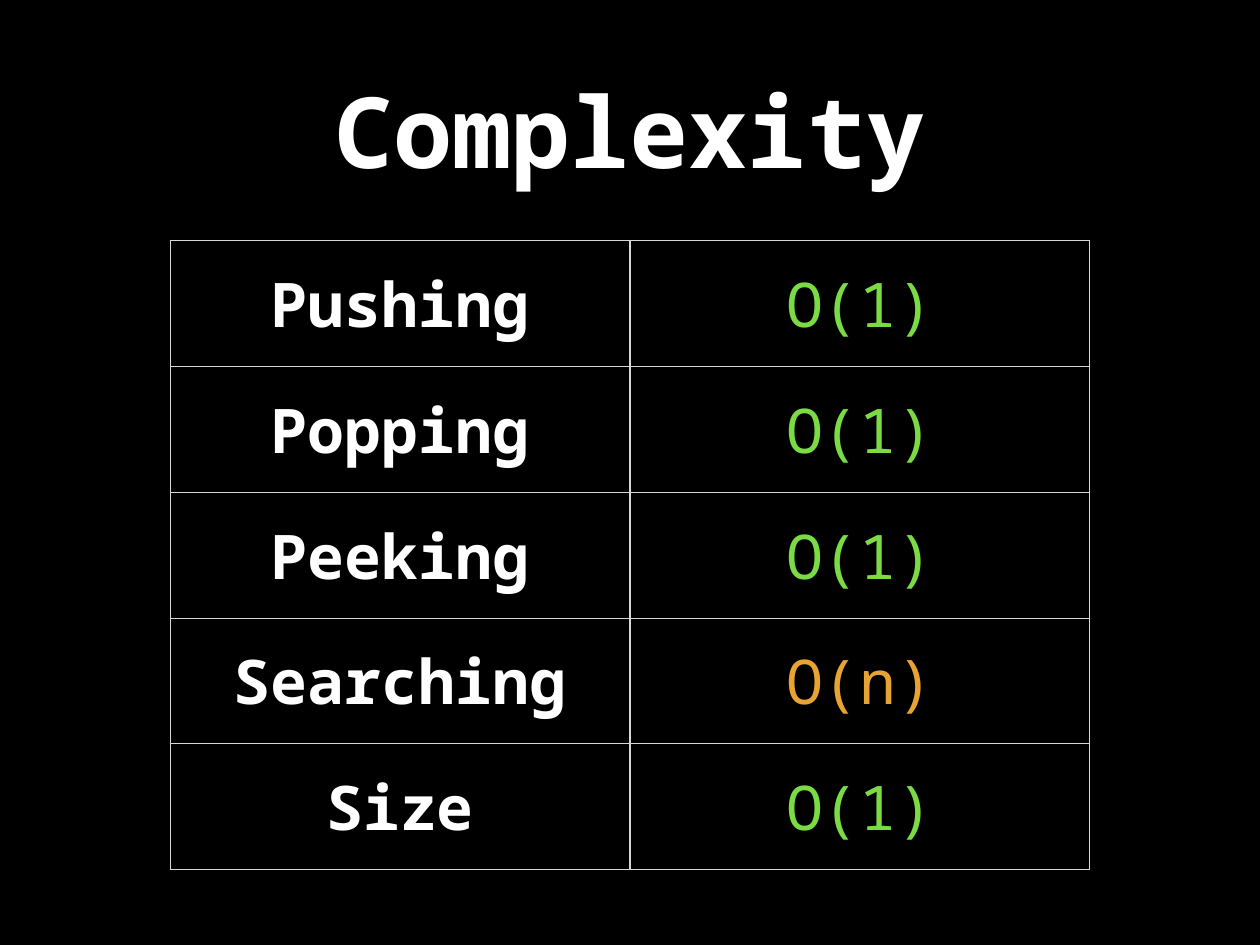
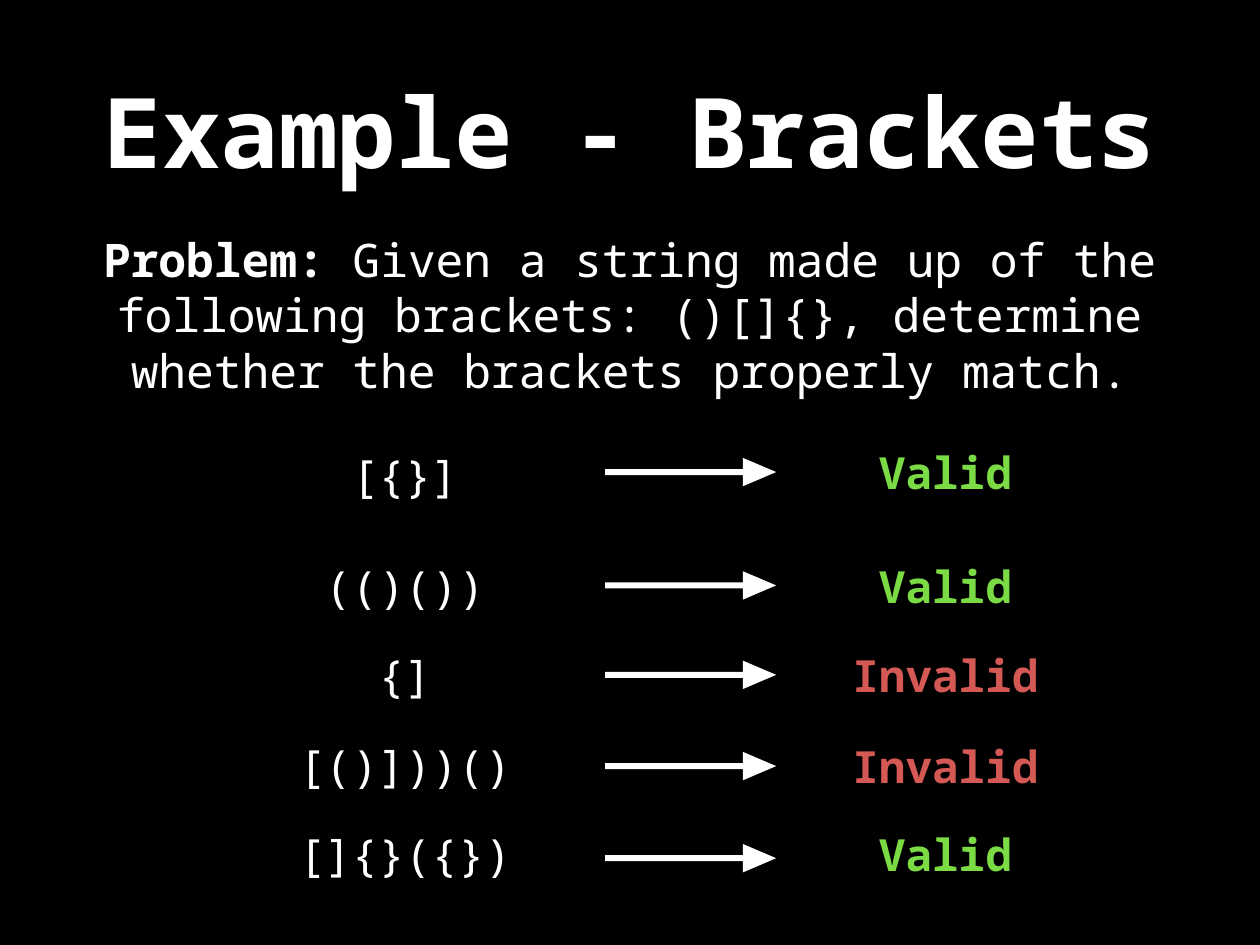
from pptx import Presentation
from pptx.dml.color import RGBColor
from pptx.enum import shapes, text
from pptx.oxml import parse_xml
from pptx.oxml.ns import nsdecls
from pptx.util import Inches, Pt

BLACK = RGBColor(0x00, 0x00, 0x00)
WHITE = RGBColor(0xFF, 0xFF, 0xFF)
GREEN = RGBColor(0x7B, 0xDB, 0x45)
ORANGE = RGBColor(0xE8, 0xA4, 0x32)
RED = RGBColor(0xD4, 0x58, 0x54)
GRID = RGBColor(0xD6, 0xD7, 0xD6)
FONT = "Noto Sans Mono"
INSET = Inches(0.06)
BODY_LEFT, BODY_WIDTH, BODY_HEIGHT = 1.04, 12.14, 2.36


def style(paragraph, size, colour, bold):
    paragraph.alignment = text.PP_ALIGN.CENTER
    paragraph.font.name = FONT
    paragraph.font.size = Pt(size)
    paragraph.font.color.rgb = colour
    paragraph.font.bold = bold


def add_text(slide, left, top, width, height, wording, size, colour=WHITE, bold=False, wrap=True):
    box = slide.shapes.add_textbox(Inches(left), Inches(top), Inches(width), Inches(height))
    frame = box.text_frame
    frame.word_wrap = wrap
    frame.auto_size = text.MSO_AUTO_SIZE.NONE if wrap else text.MSO_AUTO_SIZE.SHAPE_TO_FIT_TEXT
    frame.vertical_anchor = text.MSO_ANCHOR.MIDDLE
    frame.margin_left = frame.margin_right = frame.margin_top = frame.margin_bottom = INSET
    paragraph = frame.paragraphs[0]
    style(paragraph, size, colour, bold)
    paragraph.add_run().text = wording
    return paragraph


prs = Presentation()
prs.slide_width, prs.slide_height = Inches(14.22), Inches(10.67)
slides = []
for title, title_size in [("Complexity", 80), ("Example - Brackets", 79.2)]:
    slide = prs.slides.add_slide(prs.slide_layouts[6])
    slide.background.fill.solid()
    slide.background.fill.fore_color.rgb = BLACK
    add_text(slide, BODY_LEFT, 0.28, BODY_WIDTH, BODY_HEIGHT, title, title_size, bold=True)
    slides.append(slide)
complexity, brackets = slides

costs = [
    ("Pushing", "O(1)", GREEN),
    ("Popping", "O(1)", GREEN),
    ("Peeking", "O(1)", GREEN),
    ("Searching", "O(n)", ORANGE),
    ("Size", "O(1)", GREEN),
]
column_width, row_height = 5.19, 1.42
cost_table = complexity.shapes.add_table(
    len(costs), 2, Inches(1.92), Inches(2.72),
    Inches(2 * column_width), Inches(len(costs) * row_height)).table
cost_table.first_row = cost_table.horz_banding = False
for row, (operation, cost, cost_colour) in enumerate(costs):
    for column, (wording, colour, bold) in enumerate(
            [(operation, WHITE, True), (cost, cost_colour, False)]):
        cell = cost_table.cell(row, column)
        cell.text = wording
        style(cell.text_frame.paragraphs[0], 50, colour, bold)
        cell.vertical_anchor = text.MSO_ANCHOR.MIDDLE
        cell.margin_left = cell.margin_right = cell.margin_top = cell.margin_bottom = INSET
        properties = cell._tc.get_or_add_tcPr()
        for side in ("lnL", "lnR", "lnT", "lnB"):
            properties.append(parse_xml(
                f'<a:{side} {nsdecls("a")} w="{Pt(1)}"><a:solidFill>'
                f'<a:srgbClr val="{GRID}"/></a:solidFill></a:{side}>'))
        cell.fill.background()

problem = add_text(brackets, BODY_LEFT, 2.37, BODY_WIDTH, BODY_HEIGHT, "Problem:", 37.6)
problem.runs[0].font.bold = True
problem.add_run().text = (" Given a string made up of the following brackets: ()[]{}, "
                          "determine whether the brackets properly match.")

verdicts = {"Valid": GREEN, "Invalid": RED}
examples = [
    ("[{}]", 5.02, 5.17, "Valid", 4.99),
    ("(()())", 6.27, 6.45, "Valid", 6.27),
    ("{]", 7.28, 7.46, "Invalid", 7.28),
    ("[()]))()", 8.29, 8.49, "Invalid", 8.31),
    ("[]{}({})", 9.3, 9.53, "Valid", 9.3),
]
string_center, verdict_center = 4.57, 10.67
character_width, label_height = 0.3, 0.68
for string, string_top, arrow_top, verdict, verdict_top in examples:
    for wording, center, top, colour, bold in [
            (string, string_center, string_top, WHITE, False),
            (verdict, verdict_center, verdict_top, verdicts[verdict], True)]:
        width = len(wording) * character_width + 0.13
        add_text(brackets, center - width / 2, top, width, label_height,
                 wording, 36, colour, bold, wrap=False)
    arrow = brackets.shapes.add_shape(
        shapes.MSO_SHAPE.RIGHT_ARROW, Inches(6.83), Inches(arrow_top), Inches(1.93), Inches(0.32))
    arrow.adjustments[0], arrow.adjustments[1] = 0.21, 1.17
    arrow.shadow.inherit = False
    arrow.fill.solid()
    arrow.fill.fore_color.rgb = WHITE
    arrow.line.fill.background()

prs.save("out.pptx")
